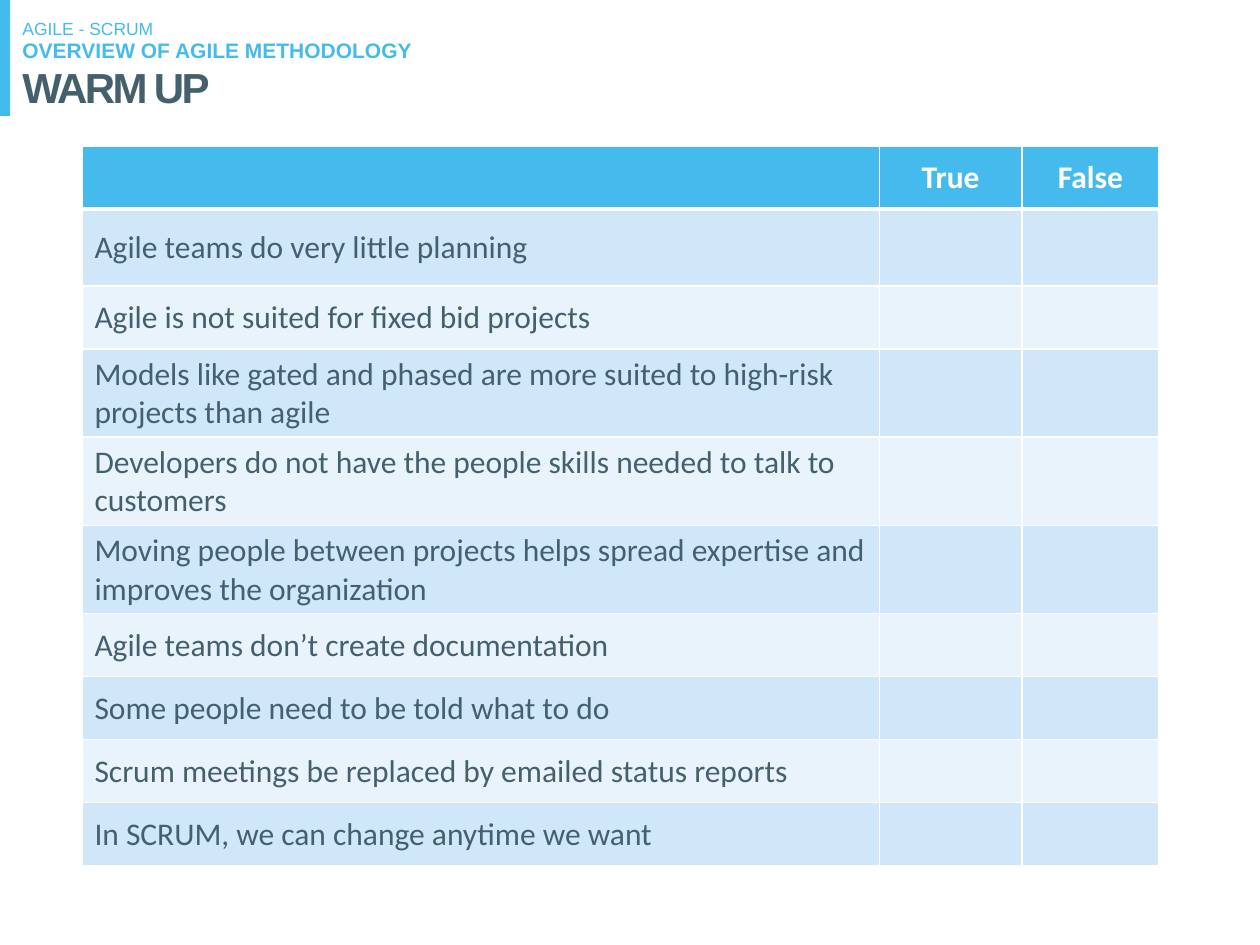
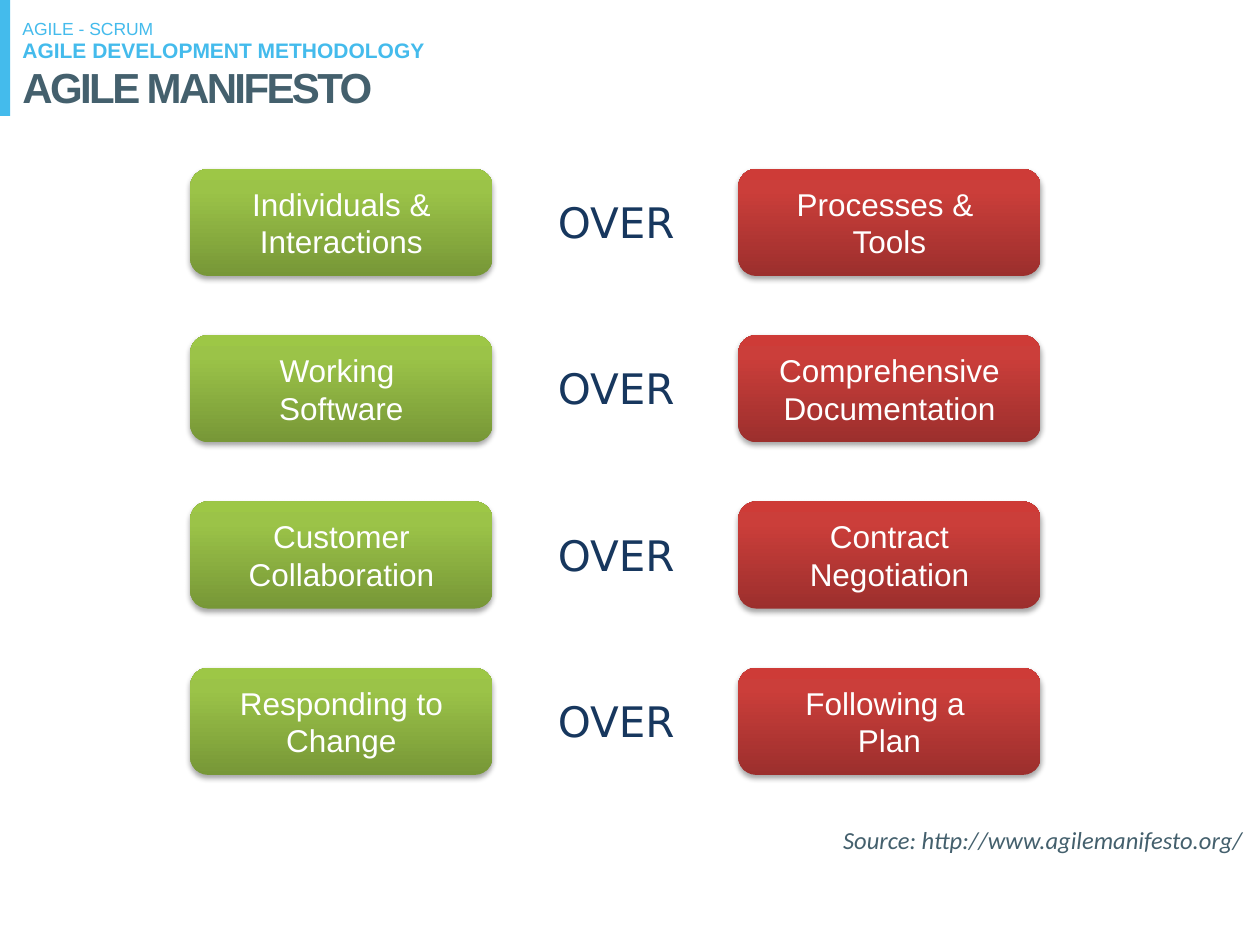
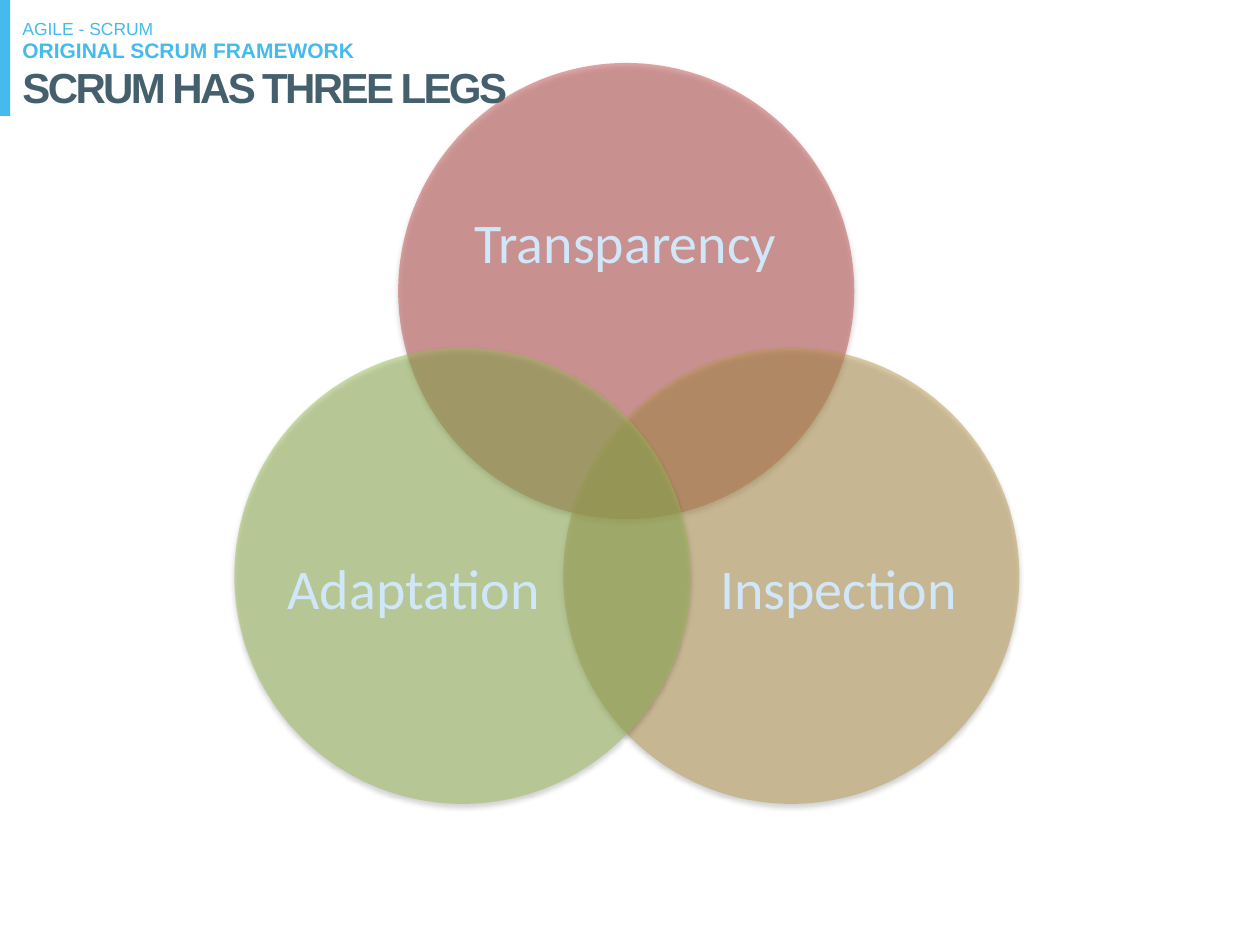
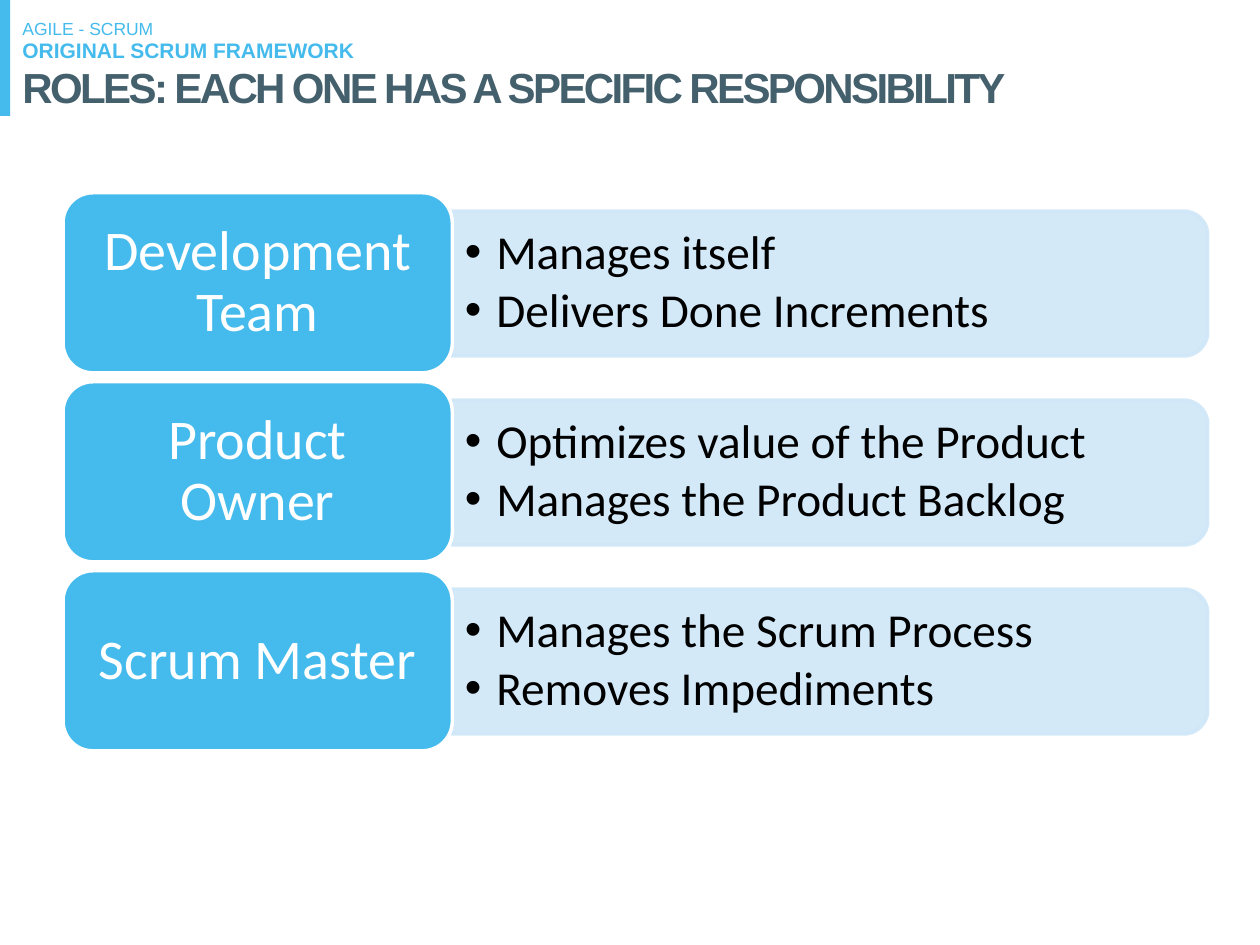
from dataclasses import dataclass
from typing import NamedTuple

import lxml.etree
import pptx
import pptx.dml.color
import pptx.enum.shapes
import pptx.enum.text
import pptx.oxml.ns
import pptx.shapes.autoshape
import pptx.slide
import pptx.text.text
import pptx.util

SHAPE = pptx.enum.shapes.MSO_SHAPE
ALIGN = pptx.enum.text.PP_ALIGN
ANCHOR = pptx.enum.text.MSO_ANCHOR
qn = pptx.oxml.ns.qn

COLUMNS, ROWS = 100, 75
CELL = pptx.util.Inches(0.1)


class Box(NamedTuple):
    """A place on the grid: left column, top row, columns wide, rows high."""
    left: float
    top: float
    width: float
    height: float

    def down(self, rows: float) -> "Box":
        return self._replace(top=self.top + rows)

    def inset(self, margin: float) -> "Box":
        return Box(self.left + margin, self.top + margin,
                   self.width - 2 * margin, self.height - 2 * margin)

    def lengths(self) -> list[int]:
        return [cells(value) for value in self]


class Margins(NamedTuple):
    """Space between a frame and its text, in grid cells."""
    left: float = 1
    top: float = 0.5
    right: float = 1
    bottom: float = 0.5


@dataclass(frozen=True)
class TextStyle:
    font: str
    size: float
    color: str
    bold: bool = False
    italic: bool = False
    tracking: float = 0
    align: ALIGN = ALIGN.LEFT
    line_spacing: float = 1
    space_after: float = 0
    bullet_indent: float = 0


@dataclass(frozen=True)
class Theme:
    band: str = "44BBEC"
    accent: str = "45BBED"
    pale: str = "CFE7F8"
    paler: str = "E9F3FC"
    white: str = "FFFFFF"
    valued: tuple[str, ...] = ("779737", "9BC348", "9DC746")
    outweighed: tuple[str, ...] = ("9C2F2D", "CB3E3A", "CE3B37")
    course: TextStyle = TextStyle("Arial", 10, "44BBEC")
    chapter: TextStyle = TextStyle("Arial", 12, "44BBEC", bold=True)
    topic: TextStyle = TextStyle("Arial", 24, "44606D", bold=True, tracking=-1.5)
    answer: TextStyle = TextStyle("Calibri", 18, "FFFFFF", bold=True, align=ALIGN.CENTER)
    statement: TextStyle = TextStyle("Calibri", 18, "44606D")
    value: TextStyle = TextStyle("Arial", 18, "FFFFFF", align=ALIGN.CENTER)
    over: TextStyle = TextStyle("DejaVu Sans", 24, "17375E")
    credit: TextStyle = TextStyle("Calibri", 14, "44606D", italic=True, align=ALIGN.RIGHT)
    leg: TextStyle = TextStyle("Calibri", 32, "CFE7F8", align=ALIGN.CENTER, line_spacing=0.9)
    role: TextStyle = TextStyle("Calibri", 32, "FFFFFF", align=ALIGN.CENTER, line_spacing=0.9)
    duty: TextStyle = TextStyle("Calibri", 27, "000000", line_spacing=0.9,
                                space_after=4, bullet_indent=2.5)


THEME = Theme()
LOWERED = Margins(top=0.8)


class Value(NamedTuple):
    valued: str
    outweighed: str


class Leg(NamedTuple):
    name: str
    color: str
    circle: Box
    label: Box


class Role(NamedTuple):
    name: str
    duties: str


STATEMENTS = [
    "Agile teams do very little planning",
    "Agile is not suited for fixed bid projects",
    "Models like gated and phased are more suited to high-risk projects than agile",
    "Developers do not have the people skills needed to talk to customers",
    "Moving people between projects helps spread expertise and improves the organization",
    "Agile teams don’t create documentation",
    "Some people need to be told what to do",
    "Scrum meetings be replaced by emailed status reports",
    "In SCRUM, we can change anytime we want",
]

VALUES = [
    Value("Individuals & Interactions", "Processes & \nTools"),
    Value("Working \nSoftware", "Comprehensive Documentation"),
    Value("Customer Collaboration", "Contract Negotiation"),
    Value("Responding to Change", "Following a \nPlan"),
]

DIAMETER = 36.2
LEGS = [
    Leg("Transparency", "C0504D", Box(31.6, 5, DIAMETER, DIAMETER), Box(36.4, 11.3, 26.5, 16.3)),
    Leg("Inspection", "BD9B53", Box(44.7, 27.6, DIAMETER, DIAMETER), Box(55.7, 37, 21.7, 19.9)),
    Leg("Adaptation", "9BBB59", Box(18.6, 27.6, DIAMETER, DIAMETER), Box(22, 37, 21.7, 19.9)),
]

ROLES = [
    Role("Development Team", "Manages itself\nDelivers Done Increments"),
    Role("Product Owner", "Optimizes value of the Product\nManages the Product Backlog"),
    Role("Scrum Master", "Manages the Scrum Process\nRemoves Impediments"),
]


def cells(count: float) -> int:
    return round(count * CELL)


def rgb(color: str) -> pptx.dml.color.RGBColor:
    return pptx.dml.color.RGBColor.from_string(color)


def add_color(parent: lxml.etree._Element, color: str, opacity: int = 100) -> None:
    """Append an a:srgbClr, with an alpha child when it is see-through."""
    clr = lxml.etree.SubElement(parent, qn("a:srgbClr"), val=color)
    if opacity < 100:
        lxml.etree.SubElement(clr, qn("a:alpha"), val=str(opacity * 1000))


def set_opacity(shape: pptx.shapes.autoshape.Shape, opacity: int) -> None:
    """Make the solid fill and the solid line of a shape see-through."""
    for clr in shape._element.spPr.iter(qn("a:srgbClr")):
        lxml.etree.SubElement(clr, qn("a:alpha"), val=str(opacity * 1000))


def set_gradient(shape: pptx.shapes.autoshape.Shape, colors: tuple[str, ...]) -> None:
    """Fill from bottom to top, with the second colour at 80 %."""
    shape.fill.gradient()
    shape.fill.gradient_angle = 90
    stops = shape._element.spPr.find(".//" + qn("a:gsLst"))
    for stop in list(stops):
        stops.remove(stop)
    for position, color in zip((0, 80, 100), colors):
        add_color(lxml.etree.SubElement(stops, qn("a:gs"), pos=str(position * 1000)), color)


def add_soft_shadow(shape: pptx.shapes.autoshape.Shape) -> None:
    effects = shape._element.spPr.find(qn("a:effectLst"))
    shadow = lxml.etree.SubElement(
        effects, qn("a:outerShdw"), blurRad=str(pptx.util.Pt(3.1)),
        dist=str(pptx.util.Pt(1.8)), dir="5400000", rotWithShape="0")
    add_color(shadow, "000000", 35)


def format_text(frame: pptx.text.text.TextFrame, style: TextStyle) -> None:
    for paragraph in frame.paragraphs:
        if style.bullet_indent:
            indent = cells(style.bullet_indent)
            properties = paragraph._p.get_or_add_pPr()
            properties.set("marL", str(indent))
            properties.set("indent", str(-indent))
            lxml.etree.SubElement(properties, qn("a:buFont"), typeface="Arial")
            lxml.etree.SubElement(properties, qn("a:buChar"), char="•")
        paragraph.alignment = style.align
        paragraph.line_spacing = style.line_spacing
        paragraph.space_after = pptx.util.Pt(style.space_after)
        for run in paragraph.runs:
            run.font.name = style.font
            run.font.size = pptx.util.Pt(style.size)
            run.font.bold = style.bold
            run.font.italic = style.italic
            run.font.color.rgb = rgb(style.color)
            if style.tracking:
                run._r.get_or_add_rPr().set("spc", str(round(style.tracking * 100)))


def add_text(slide: pptx.slide.Slide, box: Box, text: str, style: TextStyle,
             anchor: ANCHOR = ANCHOR.TOP, margins: Margins = Margins(),
             wrap: bool = True) -> None:
    frame = slide.shapes.add_textbox(*box.lengths()).text_frame
    frame.word_wrap = wrap
    frame.vertical_anchor = anchor
    frame.margin_left, frame.margin_top, frame.margin_right, frame.margin_bottom = map(cells, margins)
    frame.text = text
    format_text(frame, style)


def add_shape(slide: pptx.slide.Slide, kind: SHAPE, box: Box, fill: str,
              line: str | None = None) -> pptx.shapes.autoshape.Shape:
    shape = slide.shapes.add_shape(kind, *box.lengths())
    shape.shadow.inherit = False
    shape.fill.solid()
    shape.fill.fore_color.rgb = rgb(fill)
    if line:
        shape.line.color.rgb = rgb(line)
        shape.line.width = pptx.util.Pt(2)
    else:
        shape.line.fill.background()
    return shape


def add_headed_slide(deck: pptx.presentation.Presentation, chapter: str,
                     topic: str) -> pptx.slide.Slide:
    slide = deck.slides.add_slide(deck.slide_layouts[6])
    add_shape(slide, SHAPE.RECTANGLE, Box(0, 0, 0.8, 9.2), THEME.band)
    add_text(slide, Box(0.8, 0.9, 12.5, 2.7), "AGILE - SCRUM", THEME.course, wrap=False)
    add_text(slide, Box(0.8, 2.5, 96.4, 3.1), chapter, THEME.chapter)
    add_text(slide, Box(0.8, 4.1, 96.4, 4.4), topic, THEME.topic, margins=LOWERED)
    return slide


def set_borders(cell: pptx.table._Cell, top: float, bottom: float) -> None:
    properties = cell._tc.get_or_add_tcPr()
    for side, width in (("L", 1), ("R", 1), ("T", top), ("B", bottom)):
        border = lxml.etree.SubElement(properties, qn(f"a:ln{side}"), w=str(pptx.util.Pt(width)))
        add_color(lxml.etree.SubElement(border, qn("a:solidFill")), THEME.white)


def add_quiz(slide: pptx.slide.Slide) -> None:
    rows = [["", "True", "False"]] + [[statement, "", ""] for statement in STATEMENTS]
    widths = (63.3, 11.3, 10.9)
    heights = [5, 6.1] + [5] * (len(rows) - 2)
    box = Box(6.5, 11.6, sum(widths), sum(heights))
    quiz = slide.shapes.add_table(len(rows), len(widths), *box.lengths()).table
    for column, width in zip(quiz.columns, widths):
        column.width = cells(width)
    for number, (texts, height) in enumerate(zip(rows, heights)):
        quiz.rows[number].height = cells(height)
        fill = THEME.accent if number == 0 else (THEME.paler, THEME.pale)[number % 2]
        for column, text in enumerate(texts):
            cell = quiz.cell(number, column)
            set_borders(cell, top=3 if number == 1 else 1, bottom=3 if number == 0 else 1)
            cell.fill.solid()
            cell.fill.fore_color.rgb = rgb(fill)
            cell.vertical_anchor = ANCHOR.MIDDLE
            cell.text_frame.text = text
            format_text(cell.text_frame, THEME.answer if number == 0 else THEME.statement)


def add_value(slide: pptx.slide.Slide, box: Box, text: str, colors: tuple[str, ...]) -> None:
    card = add_shape(slide, SHAPE.ROUNDED_RECTANGLE, box, colors[0])
    set_gradient(card, colors)
    add_soft_shadow(card)
    card.text_frame.word_wrap = True
    card.text_frame.vertical_anchor = ANCHOR.MIDDLE
    card.text_frame.text = text
    format_text(card.text_frame, THEME.value)


def add_manifesto(slide: pptx.slide.Slide) -> None:
    pitch = 13.2
    for number, value in enumerate(VALUES):
        drop = number * pitch
        add_value(slide, Box(15.1, 13.4, 24, 8.5).down(drop), value.valued, THEME.valued)
        add_text(slide, Box(43.3, 14.8, 11.7, 5).down(drop), "OVER", THEME.over, margins=LOWERED)
        add_value(slide, Box(58.6, 13.4, 24, 8.5).down(drop), value.outweighed, THEME.outweighed)
    add_text(slide, Box(4.6, 65, 95, 3.4), "Source: http://www.agilemanifesto.org/", THEME.credit)


def add_legs(slide: pptx.slide.Slide) -> None:
    for leg in LEGS:
        circle = add_shape(slide, SHAPE.OVAL, leg.circle, leg.color)
        set_opacity(circle, 50)
        add_soft_shadow(circle)
        add_text(slide, leg.label, leg.name, THEME.leg, ANCHOR.MIDDLE, Margins(0, 0, 0, 0))


def add_roles(slide: pptx.slide.Slide) -> None:
    pitch = 15
    for number, role in enumerate(ROLES):
        drop = number * pitch
        # Turned a quarter, the upright panel lies to the right of the role.
        panel = add_shape(slide, SHAPE.ROUND_2_SAME_RECTANGLE,
                          Box(60.1, -7.5, 11.5, 60).down(drop), THEME.pale, THEME.pale)
        panel.rotation = 90
        set_opacity(panel, 90)
        add_text(slide, Box(35.8, 17.3, 59.4, 10.3).down(drop), role.duties, THEME.duty,
                 ANCHOR.MIDDLE, Margins(1.1, 0.6, 1.1, 0.6))
        card = Box(5, 15.3, 30.9, 14.3).down(drop)
        add_shape(slide, SHAPE.ROUNDED_RECTANGLE, card, THEME.accent, THEME.white)
        add_text(slide, card.inset(0.7), role.name, THEME.role, ANCHOR.MIDDLE,
                 Margins(1.3, 0.7, 1.3, 0.7))


def main() -> None:
    deck = pptx.Presentation()
    deck.slide_width = cells(COLUMNS)
    deck.slide_height = cells(ROWS)
    add_quiz(add_headed_slide(deck, "OVERVIEW OF AGILE METHODOLOGY", "WARM UP"))
    add_manifesto(add_headed_slide(deck, "AGILE DEVELOPMENT METHODOLOGY", "AGILE MANIFESTO"))
    framework = "ORIGINAL SCRUM FRAMEWORK"
    add_legs(add_headed_slide(deck, framework, "SCRUM HAS THREE LEGS"))
    add_roles(add_headed_slide(deck, framework, "ROLES: EACH ONE HAS A SPECIFIC RESPONSIBILITY"))
    deck.save("out.pptx")


if __name__ == "__main__":
    main()
